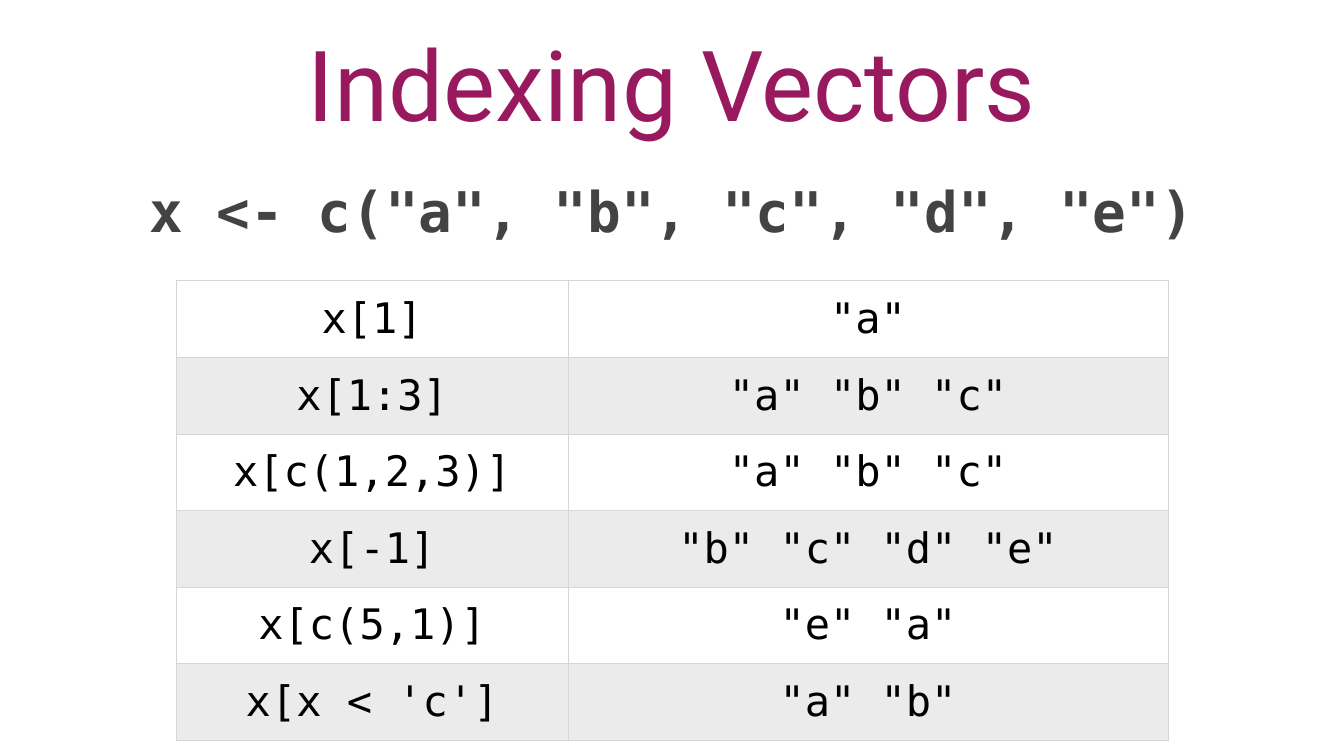
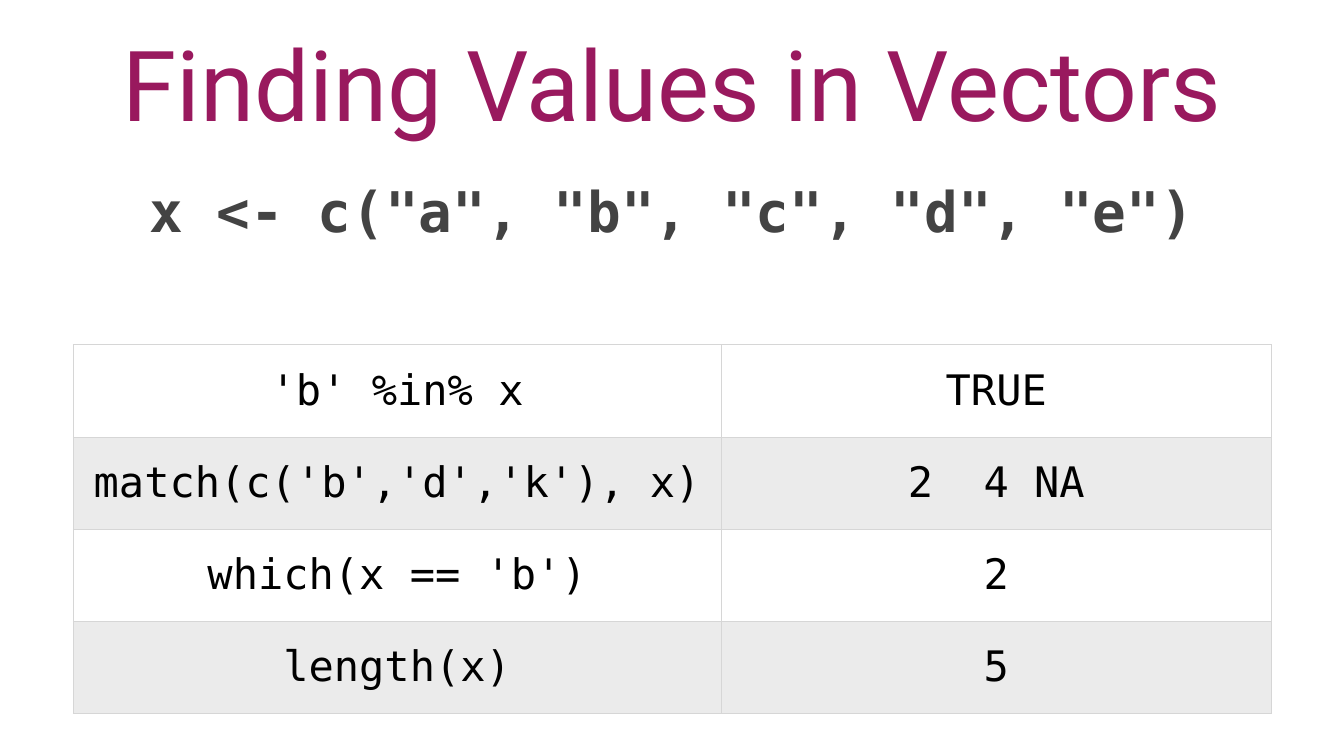
from lxml import etree
from pptx import Presentation
from pptx.dml.color import RGBColor
from pptx.enum.text import MSO_ANCHOR as Anchor, MSO_AUTO_SIZE as AutoSize, PP_ALIGN as Align
from pptx.oxml.ns import qn
from pptx.util import Inches, Pt

# Shared look
PLUM = RGBColor(0x99, 0x19, 0x5E)
SLATE = RGBColor(0x43, 0x43, 0x43)
BLACK = RGBColor(0x00, 0x00, 0x00)
BAND = RGBColor(0xEB, 0xEB, 0xEB)
GRID = RGBColor(0xD6, 0xD6, 0xD6)
SANS = "Roboto"
MONO = "DejaVu Sans Mono"
INSET = Inches(0.06)

# Shared boxes: left, top, width, height in inches
TITLE_BOX = (1.85, 0.39, 22.97, 2.5)
CODE_BOX = (1.85, 3.44, 22.97, 1.98)

VECTOR_CODE = 'x <- c("a", "b", "c", "d", "e")'

INDEXING_ROWS = [
    ("x[1]", '"a"'),
    ("x[1:3]", '"a" "b" "c"'),
    ("x[c(1,2,3)]", '"a" "b" "c"'),
    ("x[-1]", '"b" "c" "d" "e"'),
    ("x[c(5,1)]", '"e" "a"'),
    ("x[x < 'c']", '"a" "b"'),
]
FINDING_ROWS = [
    ("'b' %in% x", "TRUE"),
    ("match(c('b','d','k'), x)", "2  4 NA"),
    ("which(x == 'b')", "2"),
    ("length(x)", "5"),
]


def write_text(frame, text, *, size, color, font=MONO, bold=False):
    """Fill a text frame with one centred, unbulleted paragraph."""
    para = frame.paragraphs[0]
    props = para._p.get_or_add_pPr()
    props.set("marL", "0")
    props.set("indent", "0")
    etree.SubElement(props, qn("a:buNone"))
    para.alignment = Align.CENTER
    para.space_before = Pt(0)
    span = para.add_run()
    span.text = text
    span.font.name = font
    span.font.size = Pt(size)
    span.font.bold = bold
    span.font.color.rgb = color


def fill_placeholder(holder, box, text, anchor, **text_format):
    holder.left, holder.top, holder.width, holder.height = map(Inches, box)
    frame = holder.text_frame
    frame.word_wrap = True
    frame.auto_size = AutoSize.NONE
    frame.vertical_anchor = anchor
    frame.margin_left = frame.margin_right = INSET
    frame.margin_top = frame.margin_bottom = INSET
    write_text(frame, text, **text_format)


def outline_cell(cell):
    """Draw a thin line on all four sides; lines come before the fill."""
    props = cell._tc.get_or_add_tcPr()
    for position, side in enumerate(("lnL", "lnR", "lnT", "lnB")):
        line = etree.Element(qn(f"a:{side}"), w=str(Pt(1)))
        fill = etree.SubElement(line, qn("a:solidFill"))
        etree.SubElement(fill, qn("a:srgbClr"), val=str(GRID))
        props.insert(position, line)


def add_result_table(page, box, rows, first_width):
    """Expressions on the left, their results on the right."""
    left, top, width, height = box
    table = page.shapes.add_table(len(rows), 2, *map(Inches, box)).table
    table.first_row = table.horz_banding = False
    table.columns[0].width = Inches(first_width)
    table.columns[1].width = Inches(width - first_width)
    for row_index, texts in enumerate(rows):
        table.rows[row_index].height = Inches(height / len(rows))
        for column_index, text in enumerate(texts):
            cell = table.cell(row_index, column_index)
            cell.vertical_anchor = Anchor.MIDDLE
            cell.margin_left = cell.margin_right = INSET
            cell.margin_top = cell.margin_bottom = INSET
            if row_index % 2:
                cell.fill.solid()
                cell.fill.fore_color.rgb = BAND
            else:
                cell.fill.background()
            outline_cell(cell)
            write_text(cell.text_frame, text, size=60, color=BLACK)


def add_vector_slide(deck, title, rows, table_box, first_width):
    page = deck.slides.add_slide(deck.slide_layouts[1])
    fill_placeholder(page.shapes.title, TITLE_BOX, title, Anchor.MIDDLE,
                     size=140, color=PLUM, font=SANS)
    fill_placeholder(page.placeholders[1], CODE_BOX, VECTOR_CODE, Anchor.TOP,
                     size=80, color=SLATE, bold=True)
    add_result_table(page, table_box, rows, first_width)


def main():
    deck = Presentation()
    deck.slide_width, deck.slide_height = Inches(26.67), Inches(15)
    add_vector_slide(deck, "Indexing Vectors", INDEXING_ROWS,
                     (3.5, 5.57, 19.68, 9.12), first_width=7.77)
    add_vector_slide(deck, "Finding Values in Vectors", FINDING_ROWS,
                     (1.45, 6.84, 23.78, 7.31), first_width=12.86)
    deck.save("out.pptx")


if __name__ == "__main__":
    main()
